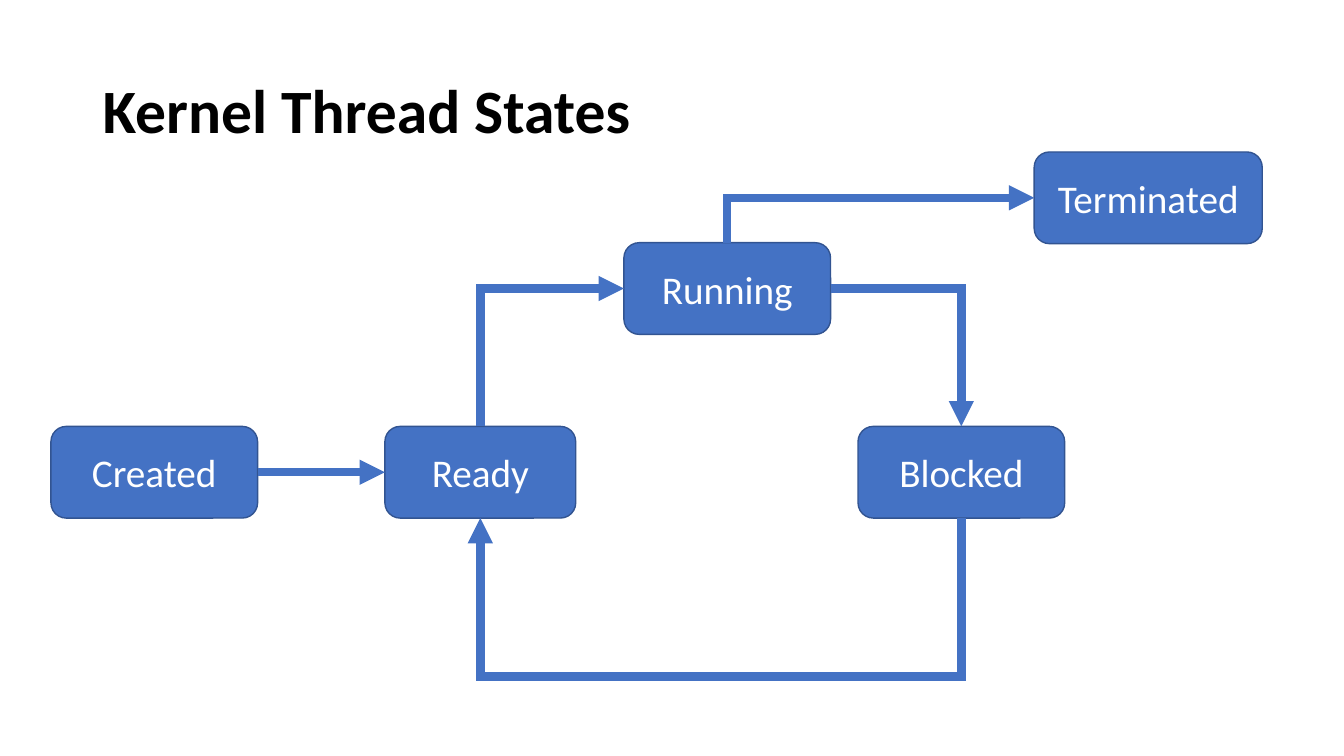
"""Builds the slide of kernel thread states and the moves between them."""
from pptx import Presentation
from pptx.dml.color import RGBColor as Rgb
from pptx.enum.shapes import MSO_CONNECTOR as Link, MSO_SHAPE as Preset
from pptx.enum.text import MSO_ANCHOR as Anchor, PP_ALIGN as Align
from pptx.oxml.ns import qn
from pptx.util import Inches, Pt
from lxml.etree import SubElement

COLORS = {"state": "4472C4", "edge": "325491", "title": "000000", "label": "FFFFFF"}
SLIDE_W, SLIDE_H = Inches(13.33), Inches(7.5)
TOP, LEFT, BOTTOM, RIGHT = range(4)
STATE_H = 12.13
LOW_ROW, MID_ROW, HIGH_ROW = 56.4, 32.1, 20.1
LOOP_FLOOR = 89.47
STATES = {
    "Created": (3.79, LOW_ROW, 15.38),
    "Ready": (28.64, LOW_ROW, 14.2),
    "Running": (46.42, MID_ROW, 15.38),
    "Blocked": (63.84, LOW_ROW, 15.38),
    "Terminated": (76.95, HIGH_ROW, 16.97),
}


def across(percent):
    return round(SLIDE_W * percent / 100)


def down(percent):
    return round(SLIDE_H * percent / 100)


def color(name):
    return Rgb.from_string(COLORS[name])


def write(holder, text, size, ink, bold=False, align=Align.LEFT, spacing=1.0):
    frame = holder.text_frame
    frame.word_wrap = True
    frame.vertical_anchor = Anchor.MIDDLE
    line = frame.paragraphs[0]
    line.alignment, line.line_spacing = align, spacing
    words = line.add_run()
    words.text = text
    words.font.name, words.font.size, words.font.bold = "Calibri", Pt(size), bold
    words.font.color.rgb = color(ink)


def add_state(slide, name, left, top, width):
    state = slide.shapes.add_shape(
        Preset.ROUNDED_RECTANGLE, across(left), down(top), across(width), down(STATE_H))
    state.shadow.inherit = False
    state.fill.solid()
    state.fill.fore_color.rgb = color("state")
    state.line.color.rgb = color("edge")
    state.line.width = Pt(1)
    write(state, name, 28, "label", align=Align.CENTER)
    return state


def style_arrow(arrow):
    arrow.line.color.rgb = color("state")
    arrow.line.width = Pt(6)
    stroke = arrow.line._get_or_add_ln()
    SubElement(stroke, qn("a:miter"), lim="800000")
    SubElement(stroke, qn("a:tailEnd"), type="triangle")


def add_move(slide, source, source_side, target, target_side, link=Link.ELBOW):
    move = slide.shapes.add_connector(link, 0, 0, 0, 0)
    move.begin_connect(source, source_side)
    move.end_connect(target, target_side)
    style_arrow(move)
    outline = move.element.spPr
    SubElement(outline, qn("a:effectLst"))
    if link == Link.ELBOW:
        outline.find(qn("a:prstGeom")).set("prst", "bentConnector2")
        if source_side == TOP:
            turn_upward(move, outline.find(qn("a:xfrm")))


def turn_upward(move, frame):
    """Rotate the bend so that the arrow rises first and then runs to the right."""
    wide, tall = move.width, move.height
    shift = (wide - tall) // 2
    move.left, move.top = move.left + shift, move.top - shift
    move.width, move.height = tall, wide
    frame.attrib.pop("flipV", None)
    frame.set("rot", str(270 * 60000))


def add_loop(slide, source, target):
    start_x, end_x = (state.left + state.width // 2 for state in (source, target))
    floor = down(LOOP_FLOOR)
    outline = slide.shapes.build_freeform(start_x, source.top + source.height)
    outline.add_line_segments(
        [(start_x, floor), (end_x, floor), (end_x, target.top + target.height)], close=False)
    loop = outline.convert_to_shape()
    loop.shadow.inherit = False
    loop.fill.background()
    style_arrow(loop)


def main():
    deck = Presentation()
    deck.slide_width, deck.slide_height = SLIDE_W, SLIDE_H
    slide = deck.slides.add_slide(deck.slide_layouts[6])

    title = slide.shapes.add_textbox(across(6.9), down(5.33), across(86.25), down(19.33))
    write(title, "Kernel Thread States", 44, "title", bold=True, spacing=0.9)

    states = {name: add_state(slide, name, *place) for name, place in STATES.items()}
    created, ready, running, blocked, terminated = states.values()
    add_move(slide, created, RIGHT, ready, LEFT, link=Link.STRAIGHT)
    add_move(slide, ready, TOP, running, LEFT)
    add_move(slide, running, RIGHT, blocked, TOP)
    add_move(slide, running, TOP, terminated, LEFT)
    add_loop(slide, blocked, ready)

    deck.save("out.pptx")


if __name__ == "__main__":
    main()
